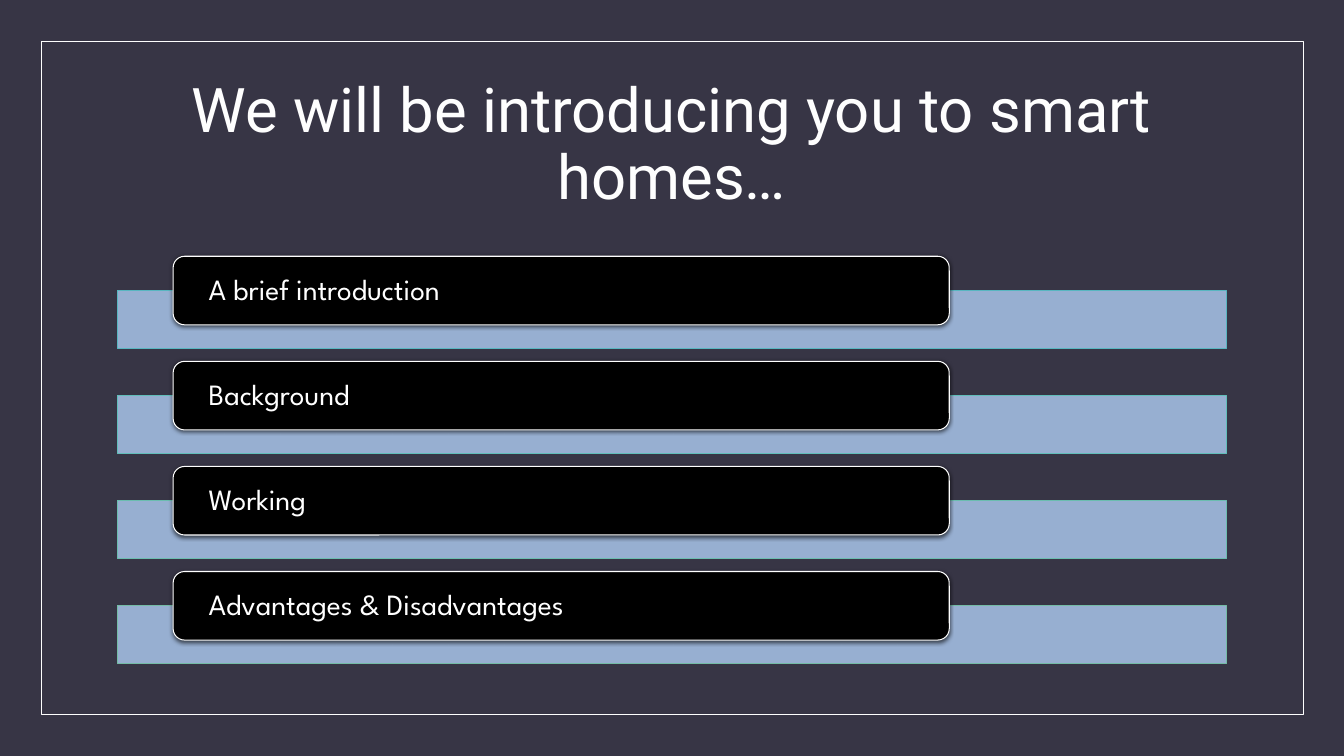
import pptx
import pptx.util
import pptx.dml.color
import pptx.enum.shapes
import pptx.enum.text
import pptx.oxml
import pptx.oxml.ns
from dataclasses import dataclass

HEAD = "We will be introducing you to smart homes…"
ITEMS = [
    ("A brief introduction", "58B6C0"),
    ("Background", "61BEBA"),
    ("Working", "6BBDAF"),
    ("Advantages & Disadvantages", "74BCA6"),
]

WIDE, HIGH = pptx.util.Inches(13.33), pptx.util.Inches(7.5)
FRAME = (3.07, 5.47, 93.9, 89.07)
TITLE = (8.75, 9.33, 82.5, 20)
BAR = (8.75, 38.4, 82.5, 7.73)
PILL = (12.88, 33.9, 57.75, 9.07)
STEP = 13.9
INSET = 2.4


@dataclass
class Theme:
    back: str = "373545"
    edge: str = "FEFEFE"
    bar: str = "A2BDE1"
    pill: str = "000000"
    text: str = "FFFFFF"
    line: float = 0.75
    head: int = 44
    item: int = 21
    headfont: str = "Roboto"
    itemfont: str = "League Spartan"


theme = Theme()
KIND = pptx.enum.shapes.MSO_SHAPE
ALIGN = pptx.enum.text.PP_ALIGN
SHADE = (
    '<a:outerShdw %s blurRad="38100" dist="12700" dir="5400000" rotWithShape="0">'
    '<a:srgbClr val="000000"><a:alpha val="63000"/></a:srgbClr></a:outerShdw>'
    % pptx.oxml.ns.nsdecls("a")
)


def color(code):
    return pptx.dml.color.RGBColor.from_string(code)


def place(area, row=0):
    x, y, w, h = area
    y += row * STEP
    sizes = (WIDE, HIGH, WIDE, HIGH)
    return [int(part * size / 100) for part, size in zip((x, y, w, h), sizes)]


def draw(slide, kind, area, line, fill=None, row=0):
    shape = slide.shapes.add_shape(kind, *place(area, row))
    shape.shadow.inherit = False
    shape.line.color.rgb = color(line)
    shape.line.width = pptx.util.Pt(theme.line)
    if fill:
        shape.fill.solid()
        shape.fill.fore_color.rgb = color(fill)
    else:
        shape.fill.background()
    return shape


def write(shape, text, size, font, ink, align):
    frame = shape.text_frame
    frame.text = text
    frame.word_wrap = True
    frame.auto_size = pptx.enum.text.MSO_AUTO_SIZE.NONE
    frame.vertical_anchor = pptx.enum.text.MSO_ANCHOR.MIDDLE
    para = frame.paragraphs[0]
    para.alignment = align
    para.line_spacing = 0.9
    style = para.runs[0].font
    style.size = pptx.util.Pt(size)
    style.name = font
    style.color.rgb = color(ink)
    return frame


def add_item(slide, row, text, line):
    bar = draw(slide, KIND.RECTANGLE, BAR, line, theme.bar, row)
    tint = bar.element.spPr.find(pptx.oxml.ns.qn("a:solidFill"))[0]
    alpha = '<a:alpha %s val="90000"/>' % pptx.oxml.ns.nsdecls("a")
    tint.append(pptx.oxml.parse_xml(alpha))

    pill = draw(slide, KIND.ROUNDED_RECTANGLE, PILL, theme.text, theme.pill, row)
    glow = pill.element.spPr.find(pptx.oxml.ns.qn("a:effectLst"))
    glow.append(pptx.oxml.parse_xml(SHADE))
    frame = write(pill, text, theme.item, theme.itemfont, theme.text, ALIGN.LEFT)
    frame.margin_left = frame.margin_right = int(WIDE * INSET / 100)
    frame.margin_top = frame.margin_bottom = 0


def main():
    deck = pptx.Presentation()
    deck.slide_width, deck.slide_height = WIDE, HIGH
    slide = deck.slides.add_slide(deck.slide_layouts[5])
    slide.background.fill.solid()
    slide.background.fill.fore_color.rgb = color(theme.back)

    draw(slide, KIND.RECTANGLE, FRAME, theme.edge)
    title = slide.shapes.title
    title.left, title.top, title.width, title.height = place(TITLE)
    write(title, HEAD, theme.head, theme.headfont, theme.edge, ALIGN.CENTER)

    for row, (text, line) in enumerate(ITEMS):
        add_item(slide, row, text, line)
    deck.save("out.pptx")


if __name__ == "__main__":
    main()
